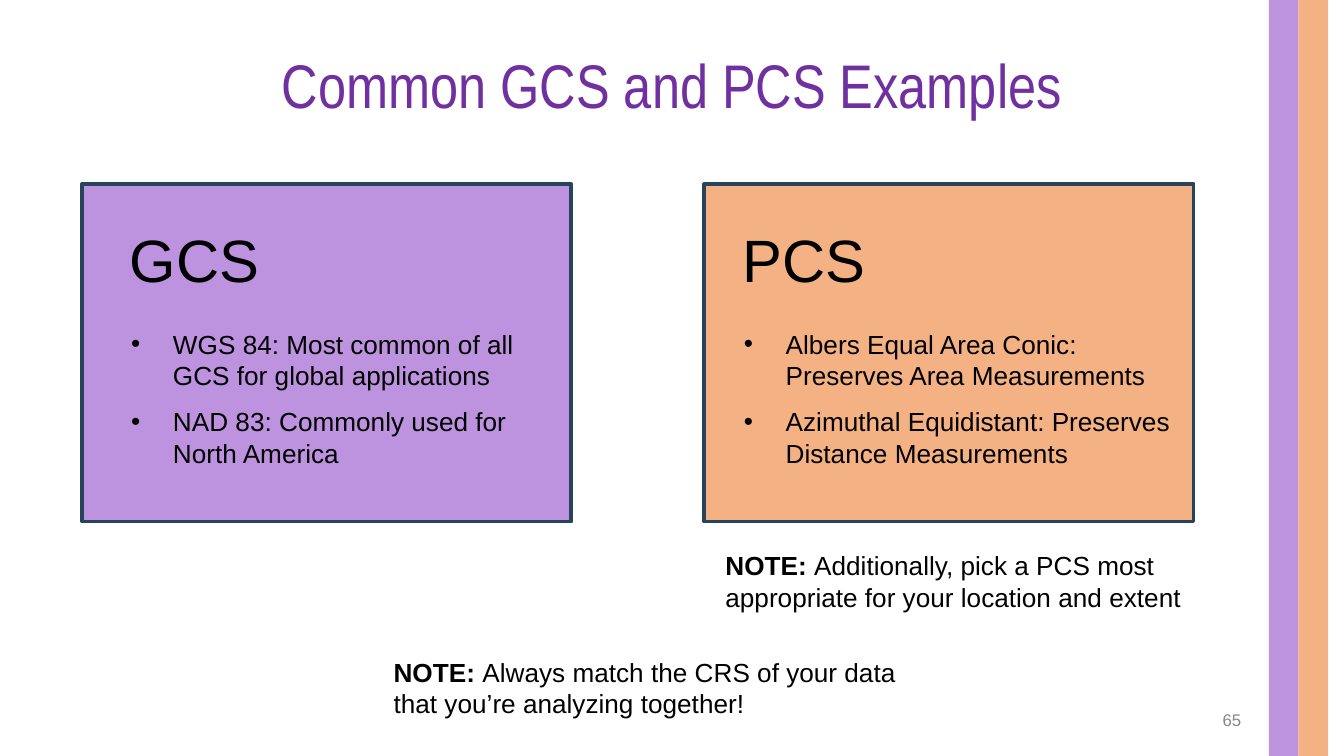
from dataclasses import dataclass
from typing import Any

from lxml import etree
from pptx import Presentation
from pptx.dml.color import RGBColor
from pptx.enum.shapes import MSO_SHAPE
from pptx.enum.text import MSO_ANCHOR, PP_ALIGN
from pptx.oxml.ns import qn
from pptx.util import Cm, Pt

RECTANGLE = MSO_SHAPE.RECTANGLE
TOP, MIDDLE = MSO_ANCHOR.TOP, MSO_ANCHOR.MIDDLE
LEFT, CENTER, RIGHT = PP_ALIGN.LEFT, PP_ALIGN.CENTER, PP_ALIGN.RIGHT

PURPLE = RGBColor(0x70, 0x30, 0xA0)
LILAC = RGBColor(0xBD, 0x92, 0xDE)
PEACH = RGBColor(0xF4, 0xB1, 0x83)
NAVY = RGBColor(0x28, 0x44, 0x5D)
BLACK = RGBColor(0, 0, 0)
GRAY = RGBColor(0x88, 0x88, 0x88)

SLIDE_WIDTH, SLIDE_HEIGHT = 25.4, 14.29
CARD_TOP, CARD_WIDTH, CARD_HEIGHT = 3.48, 9.25, 6.38
STRIPE_WIDTH = 0.56


@dataclass
class SlideBuilder:
    slide: Any
    font: str = "Arial"
    title_font: str = "Arial Narrow"
    body_size: int = 14

    def rectangle(self, left, top, width, height, fill, outline=None):
        block = self.slide.shapes.add_shape(
            RECTANGLE, Cm(left), Cm(top), Cm(width), Cm(height))
        block.shadow.inherit = False
        block.fill.solid()
        block.fill.fore_color.rgb = fill
        if outline is None:
            block.line.fill.background()
        else:
            block.line.color.rgb = outline
            block.line.width = Pt(2)

    def frame(self, left, top, width, height, anchor=TOP, inset=(0.19, 0.1)):
        frame = self.slide.shapes.add_textbox(
            Cm(left), Cm(top), Cm(width), Cm(height)).text_frame
        frame.word_wrap = True
        frame.vertical_anchor = anchor
        frame.margin_left = frame.margin_right = Cm(inset[0])
        frame.margin_top = frame.margin_bottom = Cm(inset[1])
        return frame

    def run(self, paragraph, text, size, color=BLACK, font=None, bold=False):
        run = paragraph.add_run()
        run.text = text
        run.font.size = Pt(size)
        run.font.name = font or self.font
        run.font.bold = bold
        run.font.color.rgb = color

    def line(self, frame, text, size, color=BLACK, align=LEFT, font=None):
        paragraph = frame.paragraphs[0]
        paragraph.alignment = align
        self.run(paragraph, text, size, color, font)
        return paragraph

    def title(self, text):
        frame = self.frame(0.56, 0.28, 24.28, 2.77, MIDDLE)
        self.line(frame, text, 33, PURPLE, CENTER, self.title_font).line_spacing = 0.9

    def page_number(self, text):
        frame = self.frame(17.93, 13.23, 5.72, 0.76, MIDDLE)
        self.line(frame, text, 9, GRAY, RIGHT)

    def bullets(self, frame, items):
        for index, item in enumerate(items):
            paragraph = frame.add_paragraph() if index else frame.paragraphs[0]
            properties = paragraph._p.get_or_add_pPr()
            properties.set("marL", str(Cm(1.02)))
            properties.set("indent", str(Cm(-0.79)))
            if index:
                paragraph.space_before = Pt(8)
            etree.SubElement(properties, qn("a:buFont"), typeface=self.font)
            etree.SubElement(properties, qn("a:buChar"), char="•")
            self.run(paragraph, item, self.body_size)

    def card(self, left, text_left, fill, heading, items):
        self.rectangle(left, CARD_TOP, CARD_WIDTH, CARD_HEIGHT, fill, NAVY)
        self.bullets(self.frame(text_left, 6.1, 8.74, 2.77), items)
        heading_line = self.line(
            self.frame(text_left, 4.11, 4.11, 2.77), heading, 32)
        heading_line._p.get_or_add_pPr().set("marL", str(Cm(0.2)))

    def note(self, left, top, text):
        paragraph = self.frame(
            left, top, 10.74, 1.45, inset=(0.25, 0.13)).paragraphs[0]
        self.run(paragraph, "NOTE: ", self.body_size, bold=True)
        self.run(paragraph, text, self.body_size)


def main():
    deck = Presentation()
    deck.slide_width, deck.slide_height = Cm(SLIDE_WIDTH), Cm(SLIDE_HEIGHT)
    builder = SlideBuilder(deck.slides.add_slide(deck.slide_layouts[6]))

    builder.title("Common GCS and PCS Examples")
    builder.card(1.55, 2.06, LILAC, "GCS", [
        "WGS 84: Most common of all GCS for global applications",
        "NAD 83: Commonly used for North America",
    ])
    builder.card(13.31, 13.64, PEACH, "PCS", [
        "Albers Equal Area Conic: Preserves Area Measurements",
        "Azimuthal Equidistant: Preserves Distance Measurements",
    ])
    builder.note(13.46, 10.26, "Additionally, pick a PCS most appropriate "
                 "for your location and extent")
    builder.note(7.19, 12.27, "Always match the CRS of your data "
                 "that you’re analyzing together!")
    builder.page_number("65")
    for position, color in enumerate((LILAC, PEACH)):
        builder.rectangle(23.98 + position * STRIPE_WIDTH, 0,
                          STRIPE_WIDTH, SLIDE_HEIGHT, color)
    deck.save("out.pptx")


if __name__ == "__main__":
    main()
